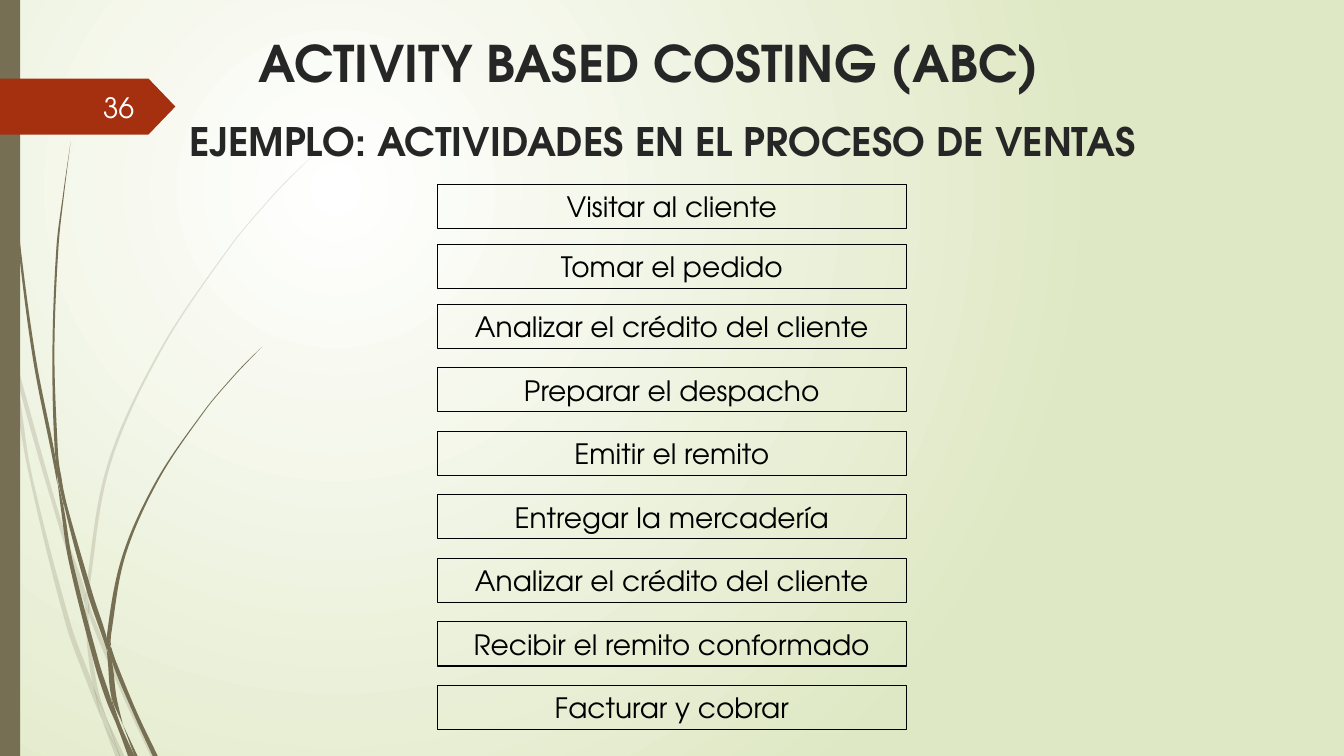
from lxml import etree
from pptx import Presentation, util as u
from pptx.dml.color import RGBColor
from pptx.enum import shapes, text
from pptx.oxml import ns

FONT = "TeX Gyre Adventor"
BLACK = RGBColor(0x00, 0x00, 0x00)
WHITE = RGBColor(0xFF, 0xFF, 0xFF)
NUMBER_WHITE = RGBColor(0xFE, 0xFF, 0xFF)
TITLE_GREY = RGBColor(0x26, 0x26, 0x26)
OLIVE = RGBColor(0x76, 0x6F, 0x54)
PALE_GREEN = RGBColor(0xDF, 0xE8, 0xC4)
RUST = RGBColor(0xA5, 0x30, 0x10)

# Grid of 40 columns by 30 rows
WIDTH, HEIGHT = u.Inches(13.33), u.Inches(7.5)
COLUMN, ROW = WIDTH / 40, HEIGHT / 30

ACTIVITIES = [
    "Visitar al cliente",
    "Tomar el pedido",
    "Analizar el crédito del cliente",
    "Preparar el despacho",
    "Emitir el remito",
    "Entregar la mercadería",
    "Analizar el crédito del cliente",
    "Recibir el remito conformado",
    "Facturar y cobrar",
]
FIRST_TOP, CLOSE_STEP, WIDE_STEP = 7.32, 2.38, 2.52
CLOSE_STEPS = 2

# Grass blades: centre x, y and thickness in inches, from top to bottom
PALE_BLADES = [
    [(0, 2.82, 0), (0.09, 3.3, 0.02), (0.11, 3.5, 0)],
    [(0.14, 3.45, 0), (0.19, 3.76, 0.04), (0.6, 5.21, 0.04), (0.82, 5.86, 0.05),
     (0.84, 5.99, 0)],
    [(0.88, 5.96, 0), (0.9, 6.1, 0.04), (1.25, 6.93, 0.04), (1.52, 7.5, 0.05)],
    [(1.05, 7.11, 0), (1.21, 7.5, 0.05)],
    [(0.11, 3.5, 0), (0.17, 3.9, 0.04), (0.3, 4.7, 0.03), (0.68, 6.2, 0.05),
     (0.91, 6.83, 0.05), (1.01, 7.14, 0)],
    [(0.84, 5.99, 0), (0.86, 6.1, 0.03), (0.89, 6.46, 0.04), (0.95, 6.83, 0.04),
     (1.05, 7.11, 0)],
    [(3.12, 1.53, 0), (2.89, 1.75, 0.01), (2.68, 1.97, 0.01), (2.28, 2.45, 0.01),
     (1.59, 3.48, 0.02), (1.08, 4.61, 0.03), (0.87, 5.84, 0.03), (0.88, 5.96, 0)],
    [(1.01, 7.14, 0), (1.17, 7.5, 0.05)],
    [(0.85, 5.86, 0), (0.86, 5.98, 0.04), (0.88, 6.1, 0)],
    [(0.93, 6.83, 0), (1.04, 7.14, 0.05), (1.19, 7.5, 0)],
]
DARK_BLADES = [
    [(0.04, 0, 0.01), (0.07, 1.1, 0.01), (0.18, 2.33, 0.02), (0.34, 3.55, 0.03),
     (0.54, 4.57, 0.03), (0.57, 4.81, 0)],
    [(0.6, 4.72, 0), (0.66, 5.05, 0.03), (0.9, 5.91, 0.05), (1.04, 6.33, 0.04),
     (1.06, 6.45, 0)],
    [(1.1, 6.41, 0), (1.13, 6.56, 0.04), (1.34, 7.07, 0.04), (1.54, 7.5, 0.05)],
    [(0.57, 4.77, 0), (0.62, 5.05, 0.03), (0.7, 5.56, 0.04), (0.96, 6.58, 0.05),
     (1.08, 6.95, 0.05), (1.17, 7.22, 0)],
    [(0.7, 1.41, 0), (0.63, 1.93, 0.01), (0.57, 2.45, 0.02), (0.53, 3.49, 0.02),
     (0.56, 4.49, 0.03), (0.6, 4.72, 0)],
    [(1.22, 7.19, 0), (1.35, 7.5, 0.03)],
    [(0.55, 4.49, 0), (0.59, 4.74, 0.04), (0.64, 5.05, 0)],
    [(2.6, 3.44, 0), (2.45, 3.59, 0.01), (2.31, 3.74, 0.01), (2.04, 4.06, 0.01),
     (1.57, 4.75, 0.02), (1.23, 5.51, 0.03), (1.08, 6.31, 0.04), (1.1, 6.41, 0)],
    [(1.17, 7.22, 0), (1.29, 7.5, 0.04)],
    [(1.06, 6.45, 0), (1.09, 6.56, 0.04), (1.13, 6.91, 0.05), (1.22, 7.19, 0)],
    [(1.06, 6.31, 0), (1.08, 6.43, 0.04), (1.11, 6.56, 0)],
    [(1.1, 6.91, 0), (1.18, 7.2, 0.04), (1.32, 7.5, 0.03)],
]


def grid_box(left, top, width, height):
    return (u.Emu(round(left * COLUMN)), u.Emu(round(top * ROW)),
            u.Emu(round(width * COLUMN)), u.Emu(round(height * ROW)))


def paint_background(slide):
    fill = slide.background.fill
    fill.gradient()
    for stop, color in zip(fill.gradient_stops, (WHITE, PALE_GREEN)):
        stop.color.rgb = color
    gradient = slide.element.find(".//" + ns.qn("a:gradFill"))
    gradient.remove(gradient.find(ns.qn("a:lin")))
    circle = etree.SubElement(gradient, ns.qn("a:path"), path="circle")
    etree.SubElement(circle, ns.qn("a:fillToRect"),
                     l="50000", t="50000", r="100000", b="100000")


def paint_shape(shape, color):
    shape.shadow.inherit = False
    shape.fill.solid()
    shape.fill.fore_color.rgb = color
    shape.line.fill.background()


def curve_points(knots):
    """Two control points and an end point for each gap between knots."""
    padded = [knots[0], *knots, knots[-1]]
    slopes = [(c[0] - a[0]) / (c[1] - a[1]) for a, c in zip(padded, padded[2:])]
    points = []
    for (x, y), (x2, y2), m, m2 in zip(knots, knots[1:], slopes, slopes[1:]):
        third = (y2 - y) / 3
        points += [(x + m * third, y + third), (x2 - m2 * third, y2 - third), (x2, y2)]
    return points


def add_blade(group, knots, opacity):
    left = [(x - w / 2, y) for x, y, w in knots]
    right = [(x + w / 2, y) for x, y, w in reversed(knots)]
    points = [left[0], *curve_points(left), left[-1], right[0], right[0],
              *curve_points(right)]
    outline = [(u.Inches(x), u.Inches(y)) for x, y in points]
    builder = group.shapes.build_freeform(*outline[0], scale=1)
    builder.add_line_segments(outline[1:])
    blade = builder.convert_to_shape()
    paint_shape(blade, OLIVE)
    # Every three straight steps become one curve
    lines = list(blade.element.iter(ns.qn("a:lnTo")))
    for trio in zip(lines[::3], lines[1::3], lines[2::3]):
        curve = etree.Element(ns.qn("a:cubicBezTo"))
        trio[0].addprevious(curve)
        for line in trio:
            curve.append(line[0])
            line.getparent().remove(line)
    if opacity < 100:
        color = blade.element.spPr.find(".//" + ns.qn("a:srgbClr"))
        etree.SubElement(color, ns.qn("a:alpha"), val=str(opacity * 1000))


def write_text(shape, words, size, color, align, anchor, bold=False):
    frame = shape.text_frame
    frame.word_wrap = True
    frame.vertical_anchor = anchor
    paragraph = frame.paragraphs[0]
    paragraph.text = words
    paragraph.alignment = align
    font = paragraph.font
    font.name, font.size, font.bold = FONT, u.Pt(size), bold
    font.color.rgb = color


def add_heading(slide, box, words, size):
    heading = slide.shapes.add_textbox(*grid_box(*box))
    write_text(heading, words, size, TITLE_GREY, text.PP_ALIGN.LEFT,
               text.MSO_ANCHOR.TOP, bold=True)


def add_activity(slide, top, words):
    activity = slide.shapes.add_shape(
        shapes.MSO_SHAPE.RECTANGLE, *grid_box(13.02, top, 13.95, 1.75))
    activity.shadow.inherit = False
    activity.fill.background()
    activity.line.color.rgb = BLACK
    activity.line.width = u.Pt(0.75)
    write_text(activity, words, 20, BLACK, text.PP_ALIGN.CENTER, text.MSO_ANCHOR.MIDDLE)


def add_page_tag(slide, number):
    tag = slide.shapes.add_shape(shapes.MSO_SHAPE.PENTAGON, *grid_box(0, 3.12, 5.22, 2.22))
    tag.adjustments[0] = 0.48
    paint_shape(tag, RUST)
    label = slide.shapes.add_textbox(*grid_box(1.74, 3.44, 2.55, 1.6))
    write_text(label, number, 20, NUMBER_WHITE, text.PP_ALIGN.RIGHT, text.MSO_ANCHOR.MIDDLE)


def main():
    presentation = Presentation()
    presentation.slide_width, presentation.slide_height = WIDTH, HEIGHT
    slide = presentation.slides.add_slide(presentation.slide_layouts[6])
    # Background, grass and side bar
    paint_background(slide)
    for blades, opacity in ((PALE_BLADES, 20), (DARK_BLADES, 100)):
        group = slide.shapes.add_group_shape()
        for knots in blades:
            add_blade(group, knots, opacity)
    bar = slide.shapes.add_shape(shapes.MSO_SHAPE.RECTANGLE, *grid_box(0, 0, 0.6, 30))
    paint_shape(bar, OLIVE)
    add_page_tag(slide, "36")
    # Activities: the first three stand closer together
    for index, words in enumerate(ACTIVITIES):
        close = min(index, CLOSE_STEPS)
        top = FIRST_TOP + close * CLOSE_STEP + (index - close) * WIDE_STEP
        add_activity(slide, top, words)
    # Headings
    add_heading(slide, (5.34, 4.44, 33.37, 2.28),
                "EJEMPLO: ACTIVIDADES EN EL PROCESO DE VENTAS", 28)
    add_heading(slide, (7.41, 1.08, 29.23, 3.36), "ACTIVITY BASED COSTING (ABC)", 36)
    presentation.save("out.pptx")


if __name__ == "__main__":
    main()
